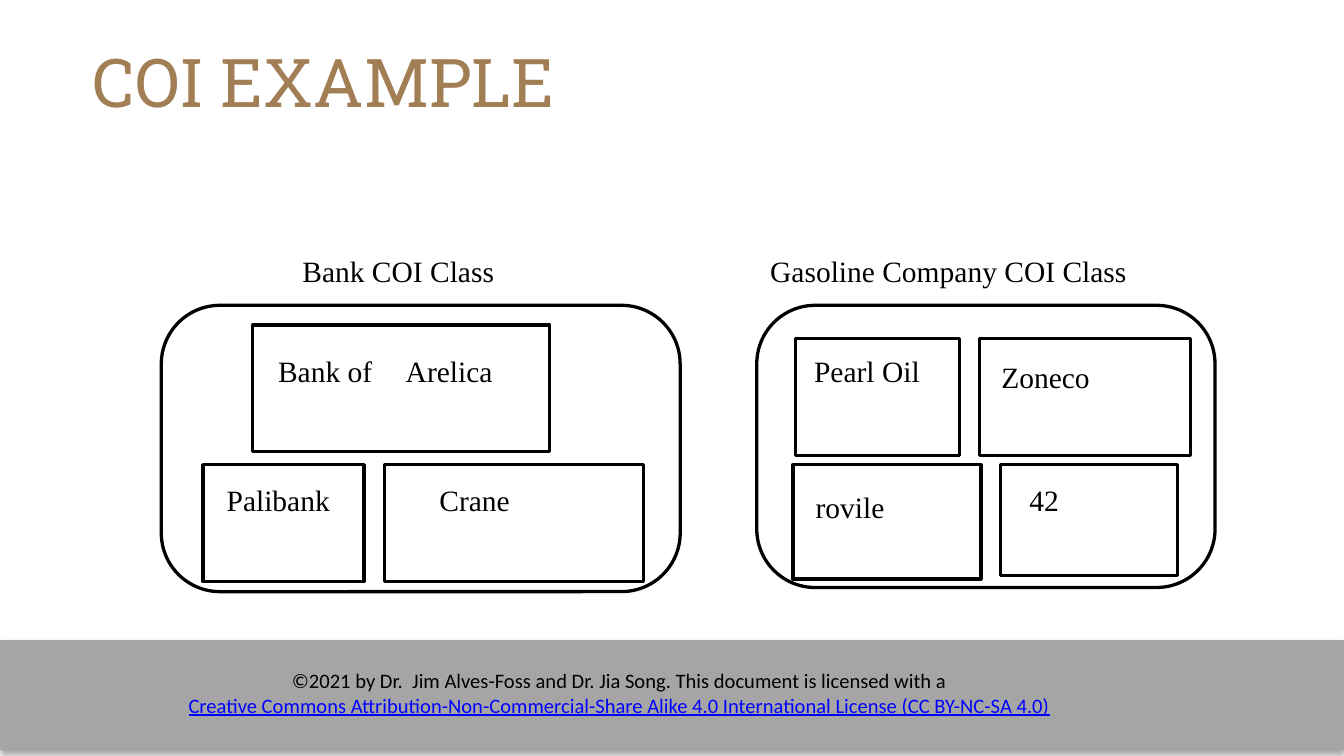
from lxml.etree import SubElement
from pptx import Presentation
from pptx.dml.color import RGBColor
from pptx.enum.shapes import MSO_SHAPE
from pptx.enum.text import PP_ALIGN
from pptx.oxml import parse_xml
from pptx.oxml.ns import nsdecls
from pptx.util import Pt

BLACK = RGBColor(0x00, 0x00, 0x00)
GREY = RGBColor(0xA5, 0xA5, 0xA5)
BROWN = RGBColor(0xA2, 0x7E, 0x55)
BLUE = RGBColor(0x00, 0x00, 0xFF)

deck = Presentation()
deck.slide_width, deck.slide_height = Pt(720), Pt(405)
slide = deck.slides.add_slide(deck.slide_layouts[6])


def add_text(lines, left, top, width, height, font, size, color):
    """Add a text box without margins, one paragraph a line."""
    box = slide.shapes.add_textbox(Pt(left), Pt(top), Pt(width), Pt(height))
    frame = box.text_frame
    frame.word_wrap = True
    frame.margin_left = frame.margin_right = 0
    frame.margin_top = frame.margin_bottom = 0
    frame.text = "\n".join(lines)
    for para in frame.paragraphs:
        para.font.name = font
        para.font.size = Pt(size)
        para.font.color.rgb = color
    return frame


def add_frame(kind, left, top, width, height):
    """Add an unfilled shape with a black outline."""
    shape = slide.shapes.add_shape(kind, Pt(left), Pt(top), Pt(width), Pt(height))
    shape.shadow.inherit = False
    shape.fill.background()
    shape.line.color.rgb = BLACK
    shape.line.width = Pt(1.75)
    return shape


# Footer band with a soft shadow below it
band = slide.shapes.add_shape(MSO_SHAPE.RECTANGLE, 0, Pt(343), Pt(720), Pt(59))
band.fill.solid()
band.fill.fore_color.rgb = GREY
band.line.fill.background()
band.shadow.inherit = False
effects = band.element.spPr.find("{*}effectLst")
effects.append(parse_xml(
    f'<a:outerShdw {nsdecls("a")} blurRad="{Pt(3.1)}" dist="{Pt(1.8)}" '
    'dir="5400000" rotWithShape="0"><a:srgbClr val="000000">'
    '<a:alpha val="35000"/></a:srgbClr></a:outerShdw>'))

notice = add_text(
    ["©2021 by Dr.  Jim Alves-Foss and Dr. Jia Song. This document is licensed with a",
     "Creative Commons Attribution-Non-Commercial-Share Alike 4.0 International License (CC BY-NC-SA 4.0)"],
    72.7, 357.9, 518.4, 27, "Calibri", 11, BLACK)
for para in notice.paragraphs:
    para.alignment = PP_ALIGN.CENTER
terms = notice.paragraphs[1].font
terms.color.rgb = BLUE
terms.underline = True

add_text(["COI EXAMPLE"], 49.7, 21.6, 620.6, 54, "Roboto Slab", 36, BROWN)

# Conflict classes: left, width, height, corner
for left, width, height, corner in [(86.4, 278, 153.4, 0.205),
                                    (405.4, 245.5, 151.2, 0.207)]:
    group = add_frame(MSO_SHAPE.ROUNDED_RECTANGLE, left, 163.6, width, height)
    group.adjustments[0] = corner

# Company boxes: left, top, width, height
for box in [(135.4, 174.2, 159.1, 67.7),
            (108.7, 249, 86.4, 62.6),
            (205.9, 249, 139, 62.6),
            (426.2, 181.4, 87.8, 62.6),
            (424.8, 249, 100.8, 61.2),
            (524.9, 181.4, 113, 62.6),
            (536.2, 249, 94.5, 59.2)]:
    add_frame(MSO_SHAPE.RECTANGLE, *box)

# Labels: words, left, top, width
for words, left, top, width in [("Bank COI Class", 162, 135.4, 104),
                                ("Gasoline Company COI Class", 412.6, 135.4, 193),
                                ("Bank of", 149, 188.9, 55),
                                ("Arelica", 217.4, 188.9, 55),
                                ("Palibank", 121.4, 258.3, 57),
                                ("Crane", 235.4, 258.3, 40),
                                ("Pearl Oil", 436.1, 188.9, 59),
                                ("Zoneco", 536.4, 192.3, 51),
                                ("rovile", 437, 262.1, 45),
                                ("42", 551.5, 258.3, 17)]:
    add_text([words], left, top, width, 18.7, "Times New Roman", 15.8, BLACK)

deck.save("out.pptx")
